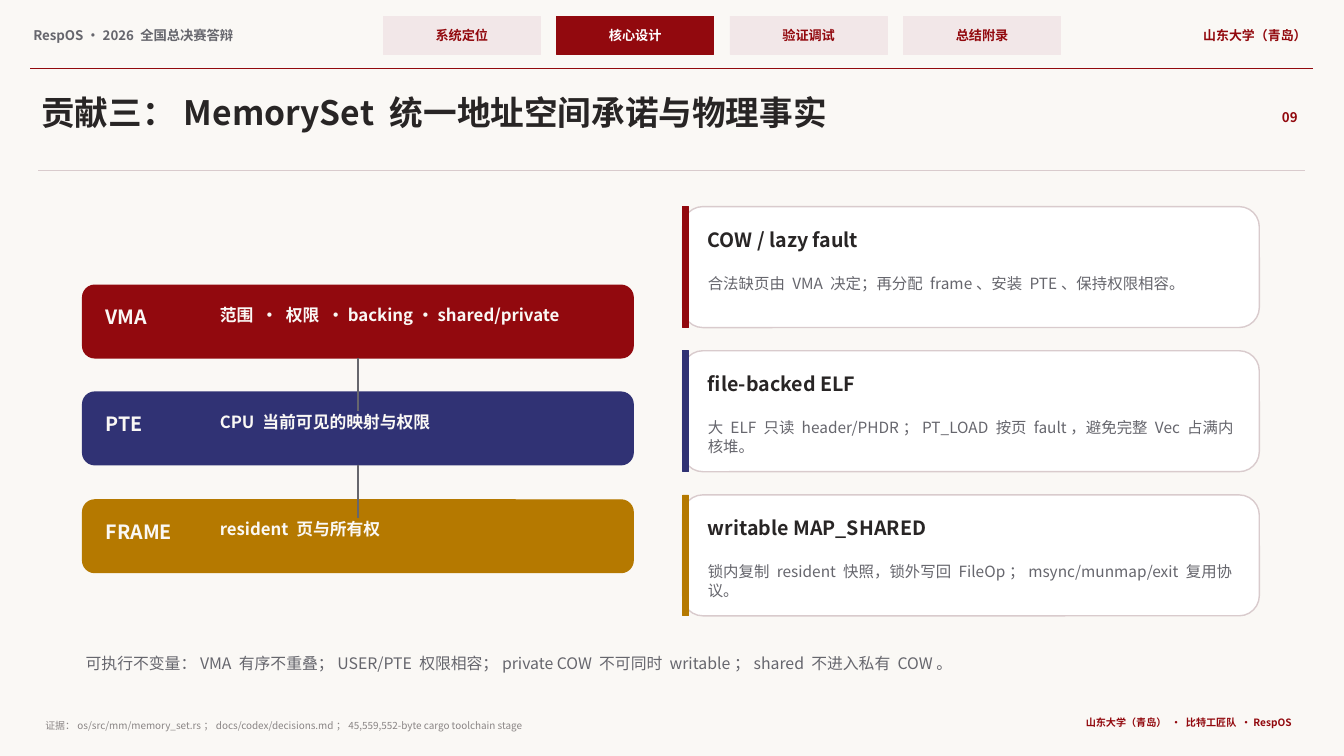
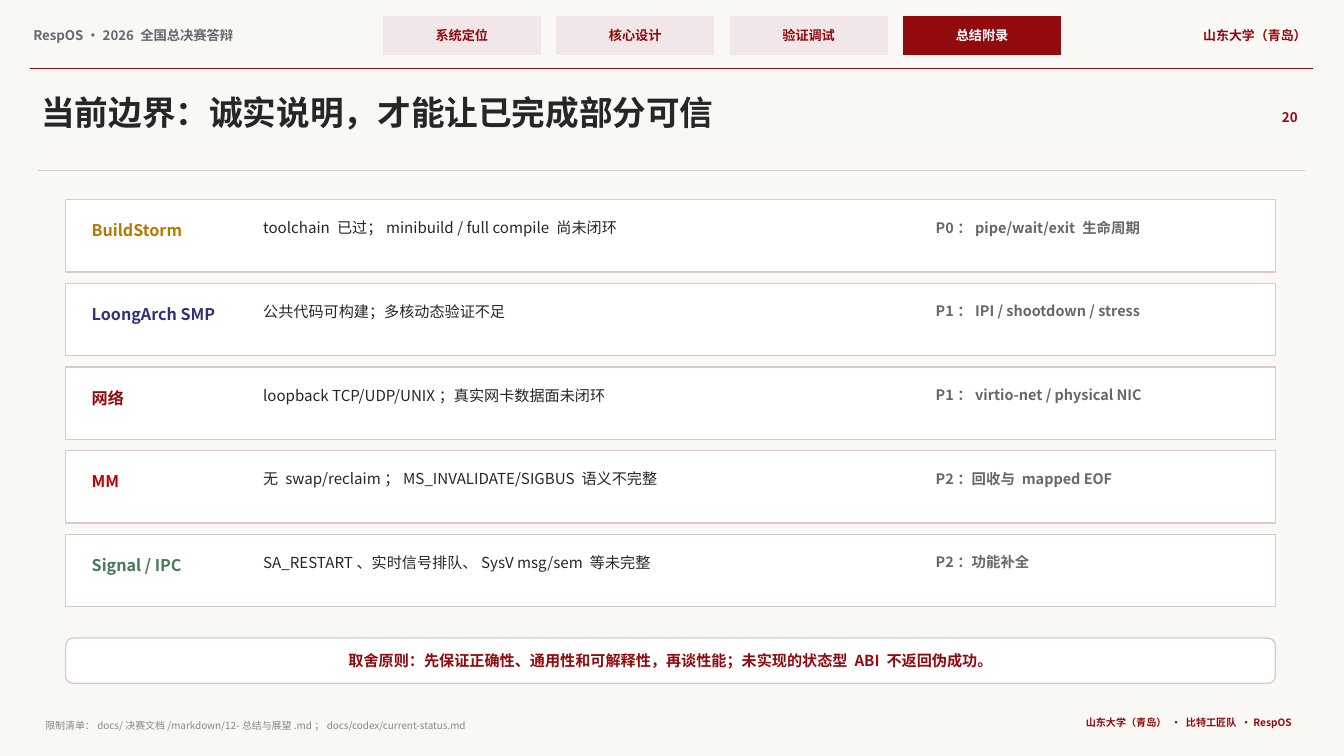
from lxml.etree import SubElement
from pptx import Presentation
from pptx.dml.color import RGBColor
from pptx.enum.shapes import MSO_CONNECTOR, MSO_SHAPE
from pptx.enum.text import MSO_ANCHOR, MSO_AUTO_SIZE, PP_ALIGN
from pptx.oxml.ns import qn
from pptx.util import Pt

PX = 9144
FONT = "Noto Sans CJK SC"
PAPER, WHITE, BLUSH, RULE = "FAF8F5", "FFFFFF", "F2E7E8", "D9CBCD"
INK, GREY, PALE = "282525", "66666D", "8A8585"
WINE, NAVY, GOLD, RED, GREEN = "92090E", "303274", "B57900", "C00000", "447A55"
LEFT, CENTER, RIGHT = PP_ALIGN.LEFT, PP_ALIGN.CENTER, PP_ALIGN.RIGHT
RECT, ROUND = MSO_SHAPE.RECTANGLE, MSO_SHAPE.ROUNDED_RECTANGLE
SCHOOL = "山东大学（青岛）"
TABS = ["系统定位", "核心设计", "验证调试", "总结附录"]


def px(*lengths):
    """Turn px lengths into EMU."""
    return [n * PX for n in lengths]


def rgb(value):
    """Return the colour for a hex string."""
    return RGBColor.from_string(value)


def write(sp, text, size=11, color=INK, bold=False, align=LEFT):
    """Put one formatted paragraph into a shape."""
    tf = sp.text_frame
    tf.word_wrap = True
    tf.margin_left = tf.margin_right = tf.margin_top = tf.margin_bottom = 3 * PX
    p = tf.paragraphs[0]
    p.alignment = align
    r = p.add_run()
    r.text = text
    r.font.size = Pt(size)
    r.font.bold = bold
    r.font.color.rgb = rgb(color)
    r.font.name = FONT
    SubElement(r.font._element, qn("a:ea"), typeface=FONT)


class Deck:
    """Hold the shared style and the current slide."""

    def __init__(self):
        """Start an empty deck."""
        self.prs = Presentation()
        self.prs.slide_width, self.prs.slide_height = px(1333, 750)
        self.s = None

    def text(self, x, y, w, h, text, **fmt):
        """Add a text box."""
        sp = self.s.shapes.add_textbox(*px(x, y, w, h))
        write(sp, text, **fmt)
        sp.text_frame.auto_size = MSO_AUTO_SIZE.SHAPE_TO_FIT_TEXT

    def box(self, x, y, w, h, fill, line, kind=RECT, weight=1, text=None, **fmt):
        """Add a filled shape with optional centred text."""
        sp = self.s.shapes.add_shape(kind, *px(x, y, w, h))
        sp.shadow.inherit = False
        sp.fill.solid()
        sp.fill.fore_color.rgb = rgb(fill)
        sp.line.color.rgb = rgb(line)
        sp.line.width = Pt(weight)
        if text:
            write(sp, text, align=CENTER, bold=True, **fmt)
            sp.text_frame.vertical_anchor = MSO_ANCHOR.MIDDLE
        return sp

    def line(self, x1, y1, x2, y2, color, weight, start=None):
        """Add a straight line, joined to the bottom of start if given."""
        c = self.s.shapes.add_connector(MSO_CONNECTOR.STRAIGHT, *px(x1, y1, x2, y2))
        c.line.color.rgb = rgb(color)
        c.line.width = Pt(weight)
        SubElement(c._element.spPr, qn("a:effectLst"))
        if start is not None:
            c.begin_connect(start, 2)

    def slide(self, title, number, active, source):
        """Add a slide with its header, title and footer."""
        self.s = self.prs.slides.add_slide(self.prs.slide_layouts[6])
        self.s.background.fill.solid()
        self.s.background.fill.fore_color.rgb = rgb(PAPER)
        self.text(30, 24, 335, 24, "RespOS · 2026 全国总决赛答辩", size=9.5, color=GREY, bold=True)
        for i, tab in enumerate(TABS):
            fill, color = (WINE, WHITE) if tab == active else (BLUSH, WINE)
            self.box(380 + 172 * i, 16, 156, 38, fill, fill, weight=0.5,
                     text=tab, size=9.4, color=color)
        self.text(1135, 24, 164, 24, SCHOOL, size=9.2, color=WINE, bold=True, align=RIGHT)
        self.line(30, 68, 1302, 68, WINE, 1.1)
        self.text(38, 88, 1185, 48, title, size=24, bold=True)
        self.text(1248, 105, 42, 24, number, size=9.5, color=WINE, bold=True, align=RIGHT)
        self.line(38, 169, 1294, 169, RULE, 0.9)
        self.text(42, 711, 970, 17, source, size=7.1, color=PALE)
        self.text(972, 708, 312, 20, f"{SCHOOL} · 比特工匠队 · RespOS",
                  size=7.2, color=WINE, bold=True, align=RIGHT)

    def layer(self, y, color, name, detail):
        """Add one coloured layer of the memory stack."""
        sp = self.box(82, y, 546, 72, color, color, ROUND)
        self.text(102, y + 17, 100, 30, name, size=14, color=PAPER, bold=True)
        self.text(215, y + 16, 375, 31, detail, size=12, color=PAPER, bold=True)
        return sp

    def card(self, y, color, head, body):
        """Add a white card with a coloured left edge."""
        self.box(677, y, 572, 120, WHITE, RULE, ROUND)
        self.box(677, y, 6, 120, color, color, weight=0.5)
        self.text(699, y + 18, 534, 34, head, size=14, bold=True)
        self.text(699, y + 64, 532, 42, body, color=GREY)

    def row(self, y, color, topic, state, plan):
        """Add one row of topic, state and plan."""
        self.box(65, y, 1200, 72, WHITE, RULE)
        self.text(88, y + 18, 155, 25, topic, size=11.5, color=color, bold=True)
        self.text(258, y + 16, 645, 32, state, size=10.8)
        self.text(925, y + 16, 295, 32, plan, size=10.3, color=GREY, bold=True)


def memory_slide(deck):
    """Build the MemorySet slide."""
    deck.slide("贡献三：MemorySet 统一地址空间承诺与物理事实", "09", "核心设计",
               "证据：os/src/mm/memory_set.rs；docs/codex/decisions.md；"
               "45,559,552-byte cargo toolchain stage")
    layers = [
        (283, WINE, "VMA", "范围 · 权限 · backing · shared/private"),
        (389, NAVY, "PTE", "CPU 当前可见的映射与权限"),
        (496, GOLD, "FRAME", "resident 页与所有权"),
    ]
    stack = [(y, deck.layer(y, *rest)) for y, *rest in layers]
    for y, sp in stack[:-1]:
        deck.line(355, y + 72, 355, y + 125, GREY, 2, start=sp)
    cards = [
        (WINE, "COW / lazy fault",
         "合法缺页由 VMA 决定；再分配 frame、安装 PTE、保持权限相容。"),
        (NAVY, "file-backed ELF",
         "大 ELF 只读 header/PHDR；PT_LOAD 按页 fault，避免完整 Vec 占满内核堆。"),
        (GOLD, "writable MAP_SHARED",
         "锁内复制 resident 快照，锁外写回 FileOp；msync/munmap/exit 复用协议。"),
    ]
    for i, card in enumerate(cards):
        deck.card(205 + 143 * i, *card)
    deck.text(82, 645, 1155, 35,
              "可执行不变量：VMA 有序不重叠；USER/PTE 权限相容；"
              "private COW 不可同时 writable；shared 不进入私有 COW。",
              size=11.3, color=GREY)


def limits_slide(deck):
    """Build the current limits slide."""
    deck.slide("当前边界：诚实说明，才能让已完成部分可信", "20", "总结附录",
               "限制清单：docs/决赛文档/markdown/12-总结与展望.md；docs/codex/current-status.md")
    rows = [
        (GOLD, "BuildStorm", "toolchain 已过；minibuild / full compile 尚未闭环",
         "P0：pipe/wait/exit 生命周期"),
        (NAVY, "LoongArch SMP", "公共代码可构建；多核动态验证不足",
         "P1：IPI / shootdown / stress"),
        (WINE, "网络", "loopback TCP/UDP/UNIX；真实网卡数据面未闭环",
         "P1：virtio-net / physical NIC"),
        (RED, "MM", "无 swap/reclaim；MS_INVALIDATE/SIGBUS 语义不完整",
         "P2：回收与 mapped EOF"),
        (GREEN, "Signal / IPC", "SA_RESTART、实时信号排队、SysV msg/sem 等未完整",
         "P2：功能补全"),
    ]
    for i, row in enumerate(rows):
        deck.row(198 + 83 * i, *row)
    deck.box(65, 633, 1200, 45, WHITE, RULE, ROUND, size=10.8, color=WINE,
             text="取舍原则：先保证正确性、通用性和可解释性，再谈性能；"
                  "未实现的状态型 ABI 不返回伪成功。")


def main():
    """Build and save the deck."""
    deck = Deck()
    memory_slide(deck)
    limits_slide(deck)
    deck.prs.save("out.pptx")


if __name__ == "__main__":
    main()
